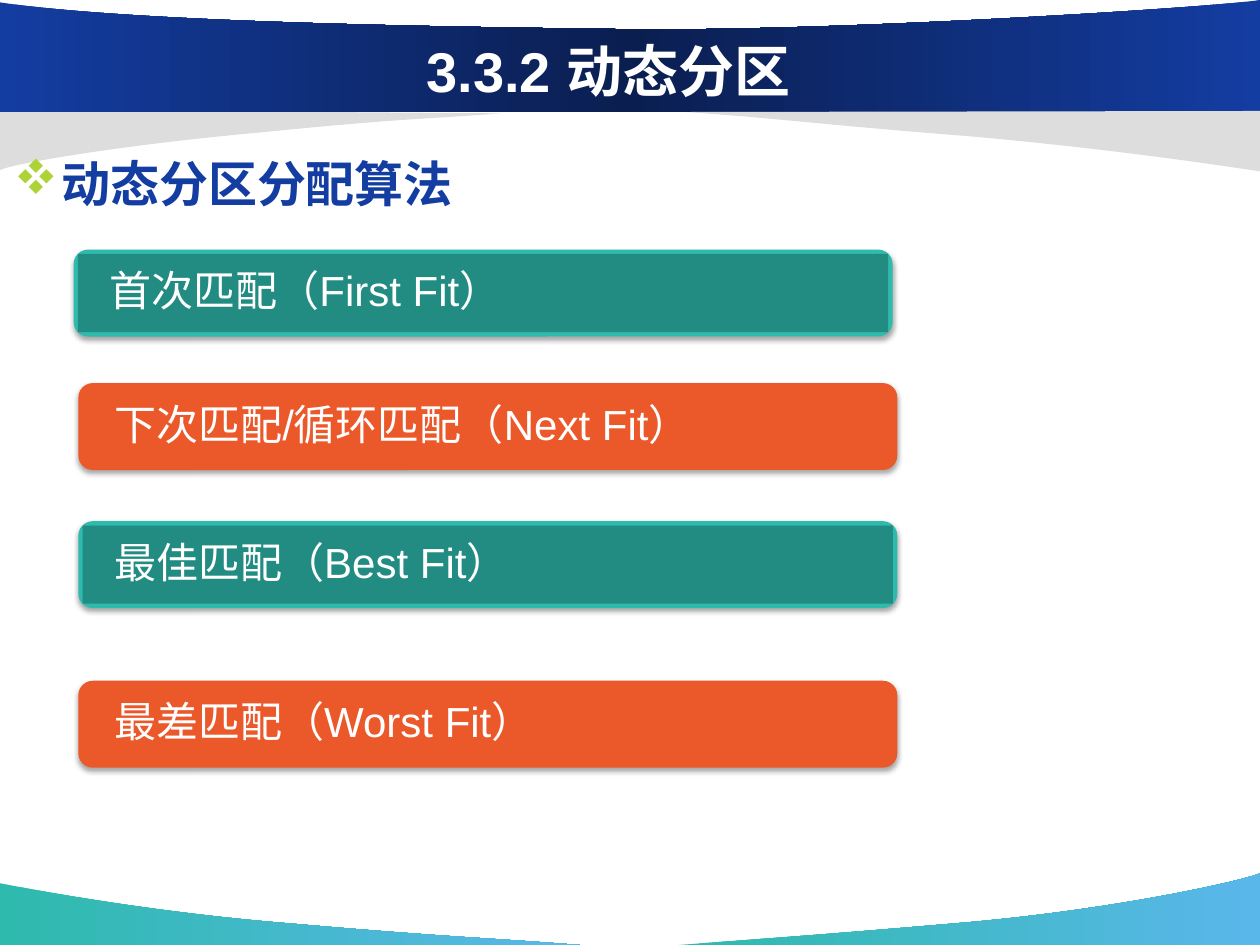
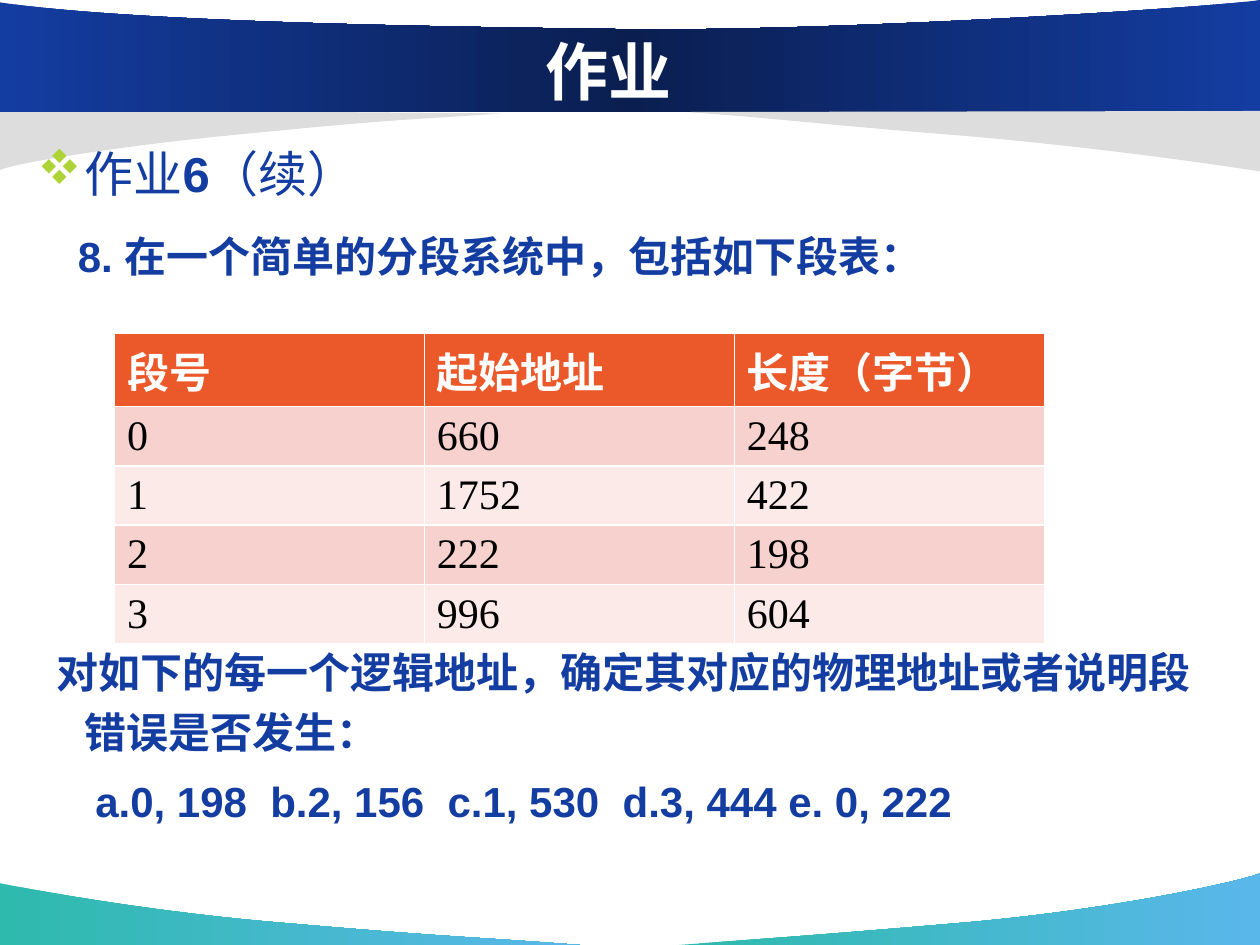
from pptx import Presentation
from pptx.dml.color import RGBColor
from pptx.enum.lang import MSO_LANGUAGE_ID
from pptx.enum.shapes import MSO_SHAPE
from pptx.enum.text import MSO_ANCHOR, PP_ALIGN
from pptx.oxml import parse_xml
from pptx.oxml.ns import qn
from pptx.util import Pt
from lxml import etree

CHINESE = MSO_LANGUAGE_ID.SIMPLIFIED_CHINESE
RECTANGLE, ROUNDED = MSO_SHAPE.RECTANGLE, MSO_SHAPE.ROUNDED_RECTANGLE
MIDDLE, CENTER, LEFT = MSO_ANCHOR.MIDDLE, PP_ALIGN.CENTER, PP_ALIGN.LEFT
DRAWING_NS = "http://schemas.openxmlformats.org/drawingml/2006/main"

WHITE, BLACK, BLUE, GREY = "FFFFFF", "000000", "143DA2", "DDDDDD"
NAVY, LIME, ORANGE = "0A1E50", "AED337", "EB592B"
TEAL, DARK_TEAL, SKY = "2EBAAD", "228C82", "5AB7EA"
ROW_TINTS = ("F7D1CD", "FBEAE8")
HEADER_BLEND = ((0, BLUE), (50, NAVY), (100, BLUE))
FOOTER_BLEND = ((0, TEAL), (100, SKY))

PAGE_SIZE = (720, 540)
HEADER_BOX = (0, 0, 720, 98)
FOOTER_BOX = (0, 499, 720, 41)
TITLE_BOX = (66, 18, 563.76, 44.64)

# Outlines: a pair is a straight step, three pairs are a curve
HEADER_BANDS = [
    (GREY, [(286.6, 64.8), ((238.3, 68.4), (229, 67.7), (149.8, 75.6)),
            ((69.8, 82.8), (6.5, 93.6), (0, 97.2)), (0, 62.6)]),
    (HEADER_BLEND, [(0, 64), (720, 64), (720, 0),
                    ((694, 4.3), (470, 18.7), (350.6, 16.6)),
                    ((231, 15.1), (72.7, 12.2), (0, 1.4))]),
    (GREY, [(391.7, 64), ((446.4, 67.7), (462.2, 70.6), (553, 77.8)),
            ((643.7, 85.7), (719.3, 97.9), (720, 97.9)), (720, 63.4)]),
]
FOOTER_BANDS = [
    (FOOTER_BLEND, [(331.2, 41), ((276.5, 36.7), (257.8, 36.7), (167, 28.8)),
                    ((76.3, 21.6), (0.7, 5.7), (0, 5.7)), (0, 41)]),
    (FOOTER_BLEND, [(388.1, 41), ((442, 37), (465, 35.6), (553.7, 28)),
                    ((642.2, 20), (712.8, 3.6), (720, 0)), (720, 41)]),
]

ALGORITHMS = [
    ((42.1, 142.6), "首次匹配（First Fit）", TEAL, DARK_TEAL),
    ((44.8, 218.9), "下次匹配/循环匹配（Next Fit）", ORANGE, ORANGE),
    ((44.8, 297.8), "最佳匹配（Best Fit）", TEAL, DARK_TEAL),
    ((44.8, 389), "最差匹配（Worst Fit）", ORANGE, ORANGE),
]
SEGMENT_TABLE = [
    ("段号", "起始地址", "长度（字节）"),
    ("0", "660", "248"),
    ("1", "1752", "422"),
    ("2", "222", "198"),
    ("3", "996", "604"),
]


def rgb(value):
    return RGBColor.from_string(value)


def points(box):
    return [Pt(value) for value in box]


def apply(target, formats):
    for name, value in formats.items():
        setattr(target, name, value)


def paint(shape, color):
    shape.shadow.inherit = False
    shape.fill.solid()
    shape.fill.fore_color.rgb = rgb(color)
    shape.line.fill.background()


def paint_blend(shape, stops):
    """Fill with a left-to-right gradient of (percent, colour) stops."""
    marks = "".join(f'<a:gs pos="{place * 1000}"><a:srgbClr val="{color}"/></a:gs>'
                    for place, color in stops)
    shape.shadow.inherit = False
    shape.line.fill.background()
    properties = shape._element.spPr
    properties.find(qn("a:custGeom")).addnext(parse_xml(
        f'<a:gradFill xmlns:a="{DRAWING_NS}" rotWithShape="1"><a:gsLst>{marks}</a:gsLst>'
        '<a:lin ang="0" scaled="0"/></a:gradFill>'))


def add_soft_shadow(shape):
    effects = shape._element.spPr.find(qn("a:effectLst"))
    effects.append(parse_xml(
        f'<a:outerShdw xmlns:a="{DRAWING_NS}" blurRad="{Pt(3.1)}" dist="{Pt(1.8)}" '
        'dir="5400000" rotWithShape="0"><a:srgbClr val="000000">'
        '<a:alpha val="35000"/></a:srgbClr></a:outerShdw>'))


def add_span(para, text, size, color, bold=False, font="Arial"):
    span = para.add_run()
    span.text = text
    apply(span.font, {"name": font, "size": Pt(size), "bold": bold,
                      "language_id": CHINESE})
    span.font.color.rgb = rgb(color)


def add_text_box(page, box):
    frame = page.shapes.add_textbox(*points(box)).text_frame
    frame.word_wrap = True
    return frame


def format_body(para, left=27, first=0, before=4.8, bullet=False):
    apply(para, {"line_spacing": 1.2, "space_before": Pt(before)})
    properties = para._p.get_or_add_pPr()
    properties.set("marL", str(Pt(left)))
    properties.set("indent", str(Pt(first)))
    if bullet:
        tint = etree.SubElement(properties, qn("a:buClr"))
        etree.SubElement(tint, qn("a:srgbClr")).set("val", LIME)
        # The letter v is the four-diamond mark in Wingdings
        symbols = etree.SubElement(properties, qn("a:buFont"))
        apply_marks = {"typeface": "Wingdings", "pitchFamily": "2", "charset": "2"}
        for name, value in apply_marks.items():
            symbols.set(name, value)
        etree.SubElement(properties, qn("a:buChar")).set("char", "v")


def add_outline(page, left, top, outline):
    """Build a freeform, then join each curve's three steps into one Bézier."""
    parts = [part if isinstance(part[0], tuple) else (part,) for part in outline]
    start, *rest = [points((left + x, top + y)) for part in parts for x, y in part]
    builder = page.shapes.build_freeform(*start)
    builder.add_line_segments(rest, close=True)
    shape = builder.convert_to_shape()
    steps = iter(list(shape._element.iter(qn("a:lnTo"))))
    for part in parts[1:]:
        step = next(steps)
        if len(part) == 3:
            curve = etree.Element(qn("a:cubicBezTo"))
            step.addprevious(curve)
            for corner in (step, next(steps), next(steps)):
                curve.append(corner[0])
                corner.getparent().remove(corner)
    return shape


def add_bands(page, box, bands):
    left, top = box[:2]
    for color, outline in bands:
        band = add_outline(page, left, top, outline)
        if isinstance(color, str):
            paint(band, color)
        else:
            paint_blend(band, color)


def add_page(deck, title, size, font):
    page = deck.slides.add_slide(deck.slide_layouts[6])
    add_bands(page, FOOTER_BOX, FOOTER_BANDS)
    add_bands(page, HEADER_BOX, HEADER_BANDS)
    frame = add_text_box(page, TITLE_BOX)
    frame.vertical_anchor = MIDDLE
    frame.paragraphs[0].alignment = CENTER
    add_span(frame.paragraphs[0], title, size, WHITE, True, font)
    return page


def add_bar(page, box, text, edge, face):
    """A rounded, shadowed bar with a text panel inset in it."""
    left, top, width, height = box
    inset = 2.5
    back = page.shapes.add_shape(ROUNDED, *points(box))
    paint(back, edge)
    add_soft_shadow(back)
    panel = page.shapes.add_shape(RECTANGLE, *points(
        (left + inset, top + inset, width - 2 * inset, height - 2 * inset)))
    paint(panel, face)
    frame = panel.text_frame
    apply(frame, {"word_wrap": True, "vertical_anchor": MIDDLE,
                  "margin_left": Pt(18), "margin_right": Pt(18),
                  "margin_top": 0, "margin_bottom": 0})
    para = frame.paragraphs[0]
    apply(para, {"alignment": LEFT, "line_spacing": 0.9})
    add_span(para, text, 24, WHITE)


def add_segment_table(page, box, rows):
    """White rules between cells come from the default table style."""
    width, height = box[2:]
    head_height = 41.7
    row_height = (height - head_height) / (len(rows) - 1)
    table = page.shapes.add_table(len(rows), len(rows[0]), *points(box)).table
    for column in table.columns:
        column.width = Pt(width / len(rows[0]))
    for number, values in enumerate(rows):
        head = number == 0
        table.rows[number].height = Pt(head_height if head else row_height)
        for place, value in enumerate(values):
            cell = table.cell(number, place)
            cell.margin_bottom = Pt(1.3)
            cell.fill.solid()
            cell.fill.fore_color.rgb = rgb(ORANGE if head else ROW_TINTS[(number - 1) % 2])
            add_span(cell.text_frame.paragraphs[0], value, 24,
                     WHITE if head else BLACK, head, "Times New Roman")


def build_algorithms(deck):
    page = add_page(deck, "3.3.2 动态分区", 32, "Arial")
    heading = add_text_box(page, (1, 77.3, 648, 147)).paragraphs[0]
    format_body(heading, first=-27, before=5.6, bullet=True)
    add_span(heading, "动态分区分配算法", 28, BLUE, True)
    for corner, text, edge, face in ALGORITHMS:
        add_bar(page, (*corner, 468, 49.7), text, edge, face)


def build_homework(deck):
    page = add_page(deck, "作业", 36, "Times New Roman")
    frame = add_text_box(page, (14.4, 71.6, 692, 408))
    heading = frame.paragraphs[0]
    format_body(heading, first=-27, before=5.6, bullet=True)
    for text, bold in (("作业", False), ("6", True), ("（续）", False)):
        add_span(heading, text, 28, BLUE, bold)

    # The question leaves room for the table before its second part
    for text, formats in (
        ("8. 在一个简单的分段系统中，包括如下段表：", {"left": 23, "before": 10.6}),
        ("对如下的每一个逻辑地址，确定其对应的物理地址或者说明段错误是否发生：",
         {"first": -16, "before": 202.8}),
        ("a.0, 198  b.2, 156  c.1, 530  d.3, 444 e. 0, 222", {"left": 33}),
    ):
        para = frame.add_paragraph()
        format_body(para, **formats)
        add_span(para, text, 24, BLUE, True)
    add_segment_table(page, (65.4, 190.6, 531.4, 177.3), SEGMENT_TABLE)


def main():
    deck = Presentation()
    deck.slide_width, deck.slide_height = points(PAGE_SIZE)
    build_algorithms(deck)
    build_homework(deck)
    deck.save("out.pptx")


if __name__ == "__main__":
    main()
